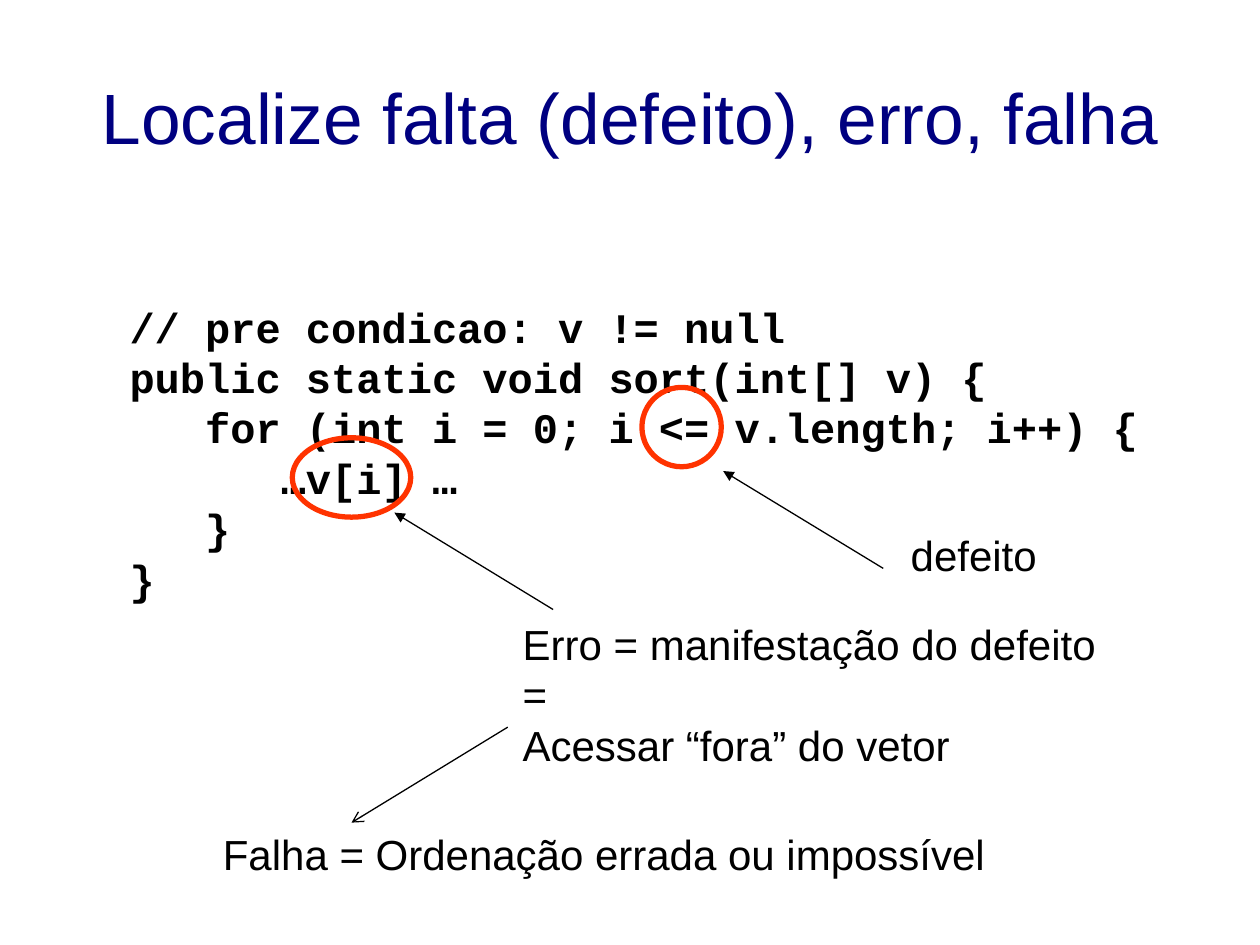
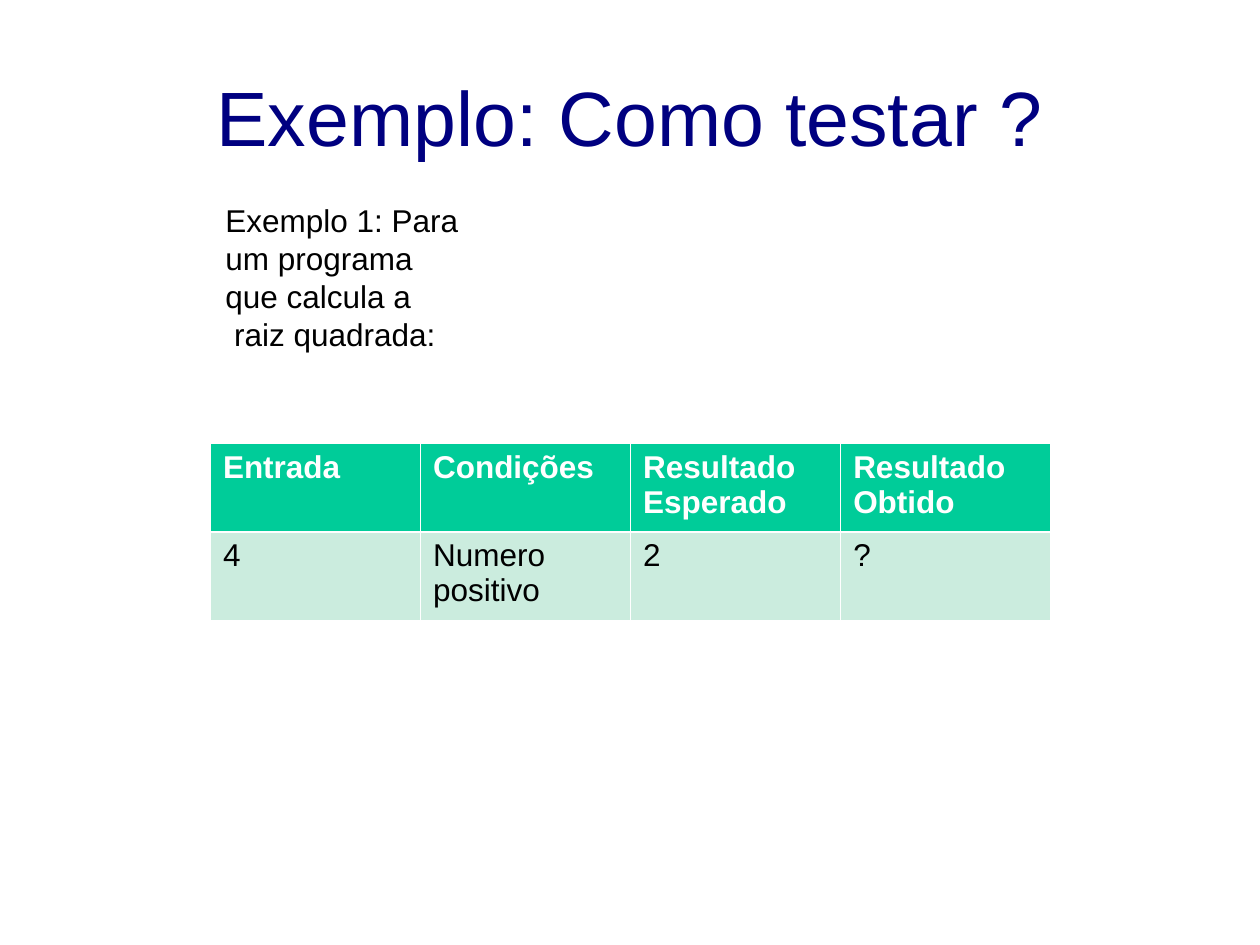
from collections import namedtuple

from lxml import etree
from pptx import Presentation
from pptx import util as u
from pptx.dml.color import RGBColor
from pptx.enum import shapes, text
from pptx.oxml.ns import qn

WIDTH, HEIGHT = 10, 7.5
COLORS = {"title": "000080", "ink": "000000", "paper": "FFFFFF", "mark": "FF3300",
          "header": "00CC99", "body": "CBECDE"}
SANS, MONO = "Arial", "Courier New"
LINE_PITCH = 1.2  # line height as a multiple of the font size

Box = namedtuple("Box", "left top width height")
TITLE_BOX = Box(0.5, 0.3, 9, 1.24)
CODE_BOX = Box(0.93, 2.34, 8.2, 2.5)
NOTES_BOX = Box(0, 3.75, WIDTH, 3.75)
INTRO_BOX = Box(1.69, 1.55, 2.05, 1.3)
TABLE_BOX = Box(1.67, 3.52, 6.67, 1.4)


def color(name):
    return RGBColor.from_string(COLORS[name])


def inches(values):
    return [u.Inches(value) for value in values]


def point_in(box, x, y):
    """Turn shares of a box into a position on the slide."""
    return box.left + x * box.width, box.top + y * box.height


def add_run(paragraph, words, size, ink="ink", face=SANS, bold=False):
    run = paragraph.add_run()
    run.text = words
    run.font.name, run.font.size, run.font.bold = face, u.Pt(size), bold
    run.font.color.rgb = color(ink)


def add_lines(slide, box, lines, size, wrap=False, **style):
    frame = slide.shapes.add_textbox(*inches(box)).text_frame
    frame.word_wrap = wrap
    frame.auto_size = text.MSO_AUTO_SIZE.SHAPE_TO_FIT_TEXT
    for index, line in enumerate(lines):
        paragraph = frame.paragraphs[0] if index == 0 else frame.add_paragraph()
        paragraph.line_spacing = u.Pt(size * LINE_PITCH)
        add_run(paragraph, line, size, **style)
    return frame


def add_titled_slide(presentation, words, size):
    slide = presentation.slides.add_slide(presentation.slide_layouts[5])
    title = slide.shapes.title
    title.left, title.top, title.width, title.height = inches(TITLE_BOX)
    title.text_frame.vertical_anchor = text.MSO_ANCHOR.MIDDLE
    paragraph = title.text_frame.paragraphs[0]
    paragraph.alignment = text.PP_ALIGN.CENTER
    add_run(paragraph, words, size, "title")
    return slide


def add_arrow(slide, start, end, head):
    arrow = slide.shapes.add_connector(shapes.MSO_CONNECTOR.STRAIGHT, *inches(start + end))
    arrow.line.color.rgb = color("ink")
    arrow.line.width = u.Pt(0.75)
    etree.SubElement(arrow.line._get_or_add_ln(), qn("a:tailEnd"), type=head)
    etree.SubElement(arrow._element.spPr, qn("a:effectLst"))


def add_code(slide, box, lines, marks):
    """Write code and circle places given as (column, line, width, height)."""
    size = 24
    add_lines(slide, box, lines, size, face=MONO, bold=True)
    character, line_height = size * 0.6 / 72, size * LINE_PITCH / 72
    for column, line, width, height in marks:
        center_x = box.left + 0.1 + column * character
        center_y = box.top + 0.05 + line * line_height
        oval = slide.shapes.add_shape(
            shapes.MSO_SHAPE.OVAL,
            *inches((center_x - width / 2, center_y - height / 2, width, height)))
        oval.shadow.inherit = False
        oval.fill.background()
        oval.line.color.rgb = color("mark")
        oval.line.width = u.Pt(3)


def add_notes_with_arrows(slide, box):
    notes = [
        (0.713, 0.107, 1.2, ["defeito"]),
        (0.405, 0.296, 5.03, ["Erro = manifestação do defeito =", "Acessar “fora” do vetor"]),
        (0.167, 0.741, 6.25, ["Falha = Ordenação errada ou impossível"]),
    ]
    for x, y, width, lines in notes:
        note_box = Box(*point_in(box, x, y), width, 0.1 + 0.4 * len(lines))
        add_lines(slide, note_box, lines, 24)
    arrows = [
        ((0.439, 0.29), (0.313, 0.085), "triangle"),
        ((0.701, 0.203), (0.574, -0.003), "triangle"),
        ((0.403, 0.539), (0.279, 0.741), "arrow"),
    ]
    for start, end, head in arrows:
        add_arrow(slide, point_in(box, *start), point_in(box, *end), head)


def set_borders(cell, **widths):
    properties = cell._tc.get_or_add_tcPr()
    for index, side in enumerate("LRTB"):
        line = etree.Element(qn("a:ln" + side), w=str(u.Pt(widths.get(side, 0.45))))
        fill = etree.SubElement(line, qn("a:solidFill"))
        etree.SubElement(fill, qn("a:srgbClr"), val=COLORS["paper"])
        properties.insert(index, line)


def add_test_table(slide, box, rows):
    table = slide.shapes.add_table(len(rows), len(rows[0]), *inches(box)).table
    table.horz_banding = False
    for row in table.rows:
        row.height = u.Inches(box.height / len(rows))
    for row_index, row in enumerate(rows):
        header = row_index == 0
        for column_index, words in enumerate(row):
            cell = table.cell(row_index, column_index)
            cell.fill.solid()
            cell.fill.fore_color.rgb = color("header" if header else "body")
            set_borders(cell, **{"B" if header else "T": 1.47})
            add_run(cell.text_frame.paragraphs[0], words, 18,
                    "paper" if header else "ink", bold=header)


def build_defect_slide(presentation):
    slide = add_titled_slide(presentation, "Localize falta (defeito), erro, falha", 40.7)
    code = [
        "// pre condicao: v != null",
        "public static void sort(int[] v) {",
        "   for (int i = 0; i <= v.length; i++) {",
        "      …v[i] …",
        "   }",
        "}",
    ]
    add_code(slide, CODE_BOX, code, [(8.8, 3.5, 0.94, 0.63), (21.9, 2.5, 0.63, 0.63)])
    add_notes_with_arrows(slide, NOTES_BOX)


def build_testing_slide(presentation):
    slide = add_titled_slide(presentation, "Exemplo: Como testar ?", 44)
    add_test_table(slide, TABLE_BOX, [
        ["Entrada", "Condições", "Resultado Esperado", "Resultado Obtido"],
        ["4", "Numero positivo", "2", "?"],
    ])
    intro = ["Exemplo 1: Para um programa", "que calcula a", "raiz quadrada:"]
    frame = add_lines(slide, INTRO_BOX, intro, 18, wrap=True)
    frame.paragraphs[-1]._p.get_or_add_pPr().set("marL", str(u.Inches(0.07)))


def main():
    presentation = Presentation()
    presentation.slide_width, presentation.slide_height = inches((WIDTH, HEIGHT))
    build_defect_slide(presentation)
    build_testing_slide(presentation)
    presentation.save("out.pptx")


if __name__ == "__main__":
    main()
